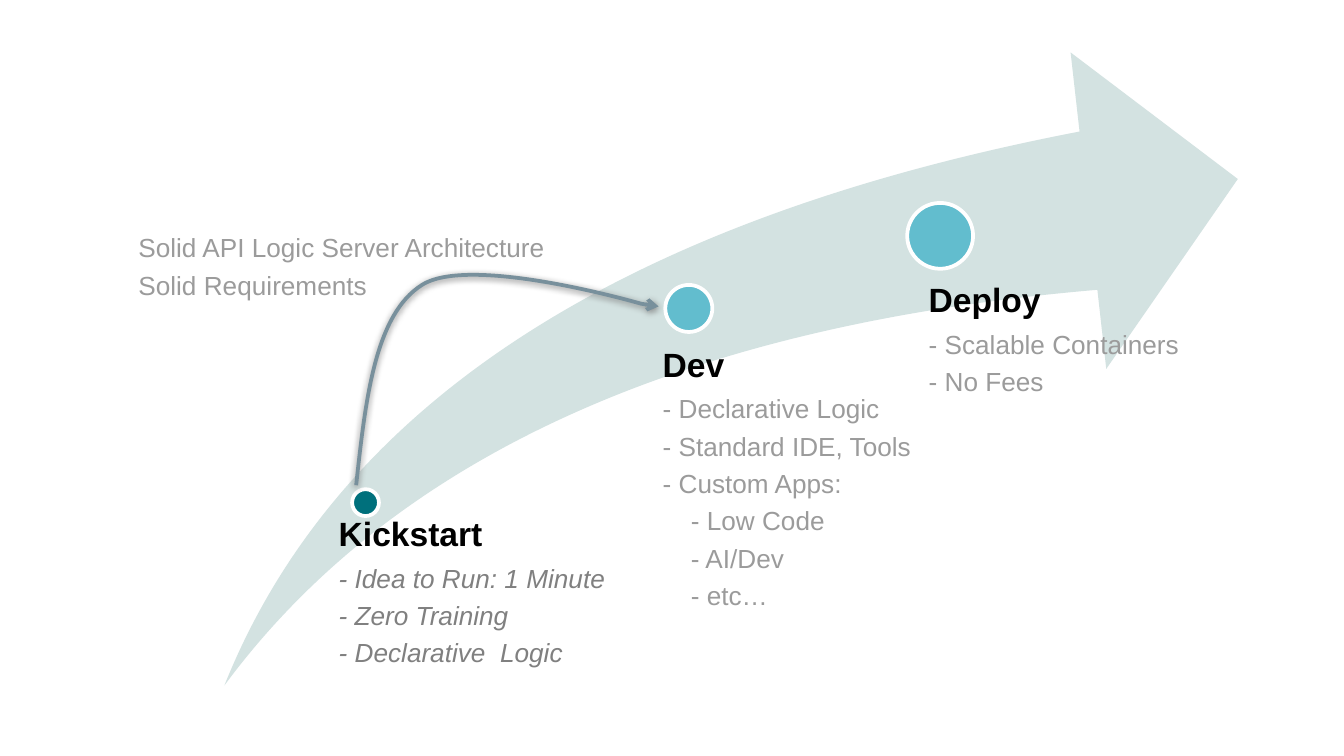
import dataclasses

import pptx
import pptx.dml.color
import pptx.enum.shapes
import pptx.enum.text
import pptx.oxml
import pptx.oxml.ns
import pptx.util

Inches = pptx.util.Inches
Pt = pptx.util.Pt
MSO_SHAPE = pptx.enum.shapes.MSO_SHAPE


@dataclasses.dataclass(frozen=True)
class Theme:
    font: str = "Arial"
    heading_size: int = 18
    item_size: int = 14
    heading: str = "000000"
    item: str = "9B9B9B"
    emphasis: str = "808080"
    swoosh: str = "D3E2E1"
    start_dot: str = "00707C"
    dot: str = "62BDCE"
    ring: str = "FFFFFF"
    jump: str = "78909C"
    shadow: str = "808080"
    line_width: int = 2


THEME = Theme()


def rgb(value):
    return pptx.dml.color.RGBColor.from_string(value)


def make_element(tag, content=""):
    namespace = pptx.oxml.ns.nsdecls("a")
    return pptx.oxml.parse_xml(f"<a:{tag} {namespace}>{content}</a:{tag}>")


def place_text(box, left, top, width, height, inset):
    """Move a list placeholder to the front and into position, and empty its margins."""
    box.element.getparent().append(box.element)
    box.left, box.top = Inches(left), Inches(top)
    box.width, box.height = Inches(width), Inches(height)
    frame = box.text_frame
    frame.word_wrap = True
    frame.auto_size = pptx.enum.text.MSO_AUTO_SIZE.NONE
    frame.vertical_anchor = pptx.enum.text.MSO_ANCHOR.TOP
    frame.margin_left = Inches(inset)
    frame.margin_top = frame.margin_right = frame.margin_bottom = 0


def add_line(box, text, size=THEME.item_size, color=THEME.item,
             bold=False, italic=False, indent=0):
    frame = box.text_frame
    para = frame.add_paragraph() if frame.text else frame.paragraphs[0]
    para.alignment = pptx.enum.text.PP_ALIGN.LEFT
    para.line_spacing = 0.9
    para.space_before = Pt(0)
    para.space_after = Pt(size * 0.35)
    properties = para._p.get_or_add_pPr()
    properties.set("marL", str(Inches(indent)))
    properties.set("indent", "0")
    properties.append(make_element("buNone"))
    span = para.add_run()
    span.text = text
    span.font.name = THEME.font
    span.font.size = Pt(size)
    span.font.bold = bold
    span.font.italic = italic
    span.font.color.rgb = rgb(color)


def add_filled(page, kind, left, top, width, height, color):
    shape = page.shapes.add_shape(
        kind, Inches(left), Inches(top), Inches(width), Inches(height))
    shape.shadow.inherit = False
    shape.fill.solid()
    shape.fill.fore_color.rgb = rgb(color)
    shape.line.fill.background()
    return shape


def add_swoosh(page, left, top, width, height):
    swoosh = add_filled(page, MSO_SHAPE.SWOOSH_ARROW, left, top, width, height, THEME.swoosh)
    swoosh.adjustments[0] = 0.25
    swoosh.adjustments[1] = 0.25


def add_stage(page, box, left, top, width, height, inset, dot, heading, items,
              dot_color=THEME.dot, subitems=(), **item_format):
    """Place a stage's list, with a round marker at dot (x, y, size) from its corner."""
    x, y, size = dot
    marker = add_filled(page, MSO_SHAPE.OVAL, left + x, top + y, size, size, dot_color)
    marker.line.color.rgb = rgb(THEME.ring)
    marker.line.width = Pt(THEME.line_width)
    place_text(box, left, top, width, height, inset)
    add_line(box, heading, size=THEME.heading_size, color=THEME.heading, bold=True)
    for item in items:
        add_line(box, item, **item_format)
    for item in subitems:
        add_line(box, item, indent=0.21, **item_format)


def add_jump(page, left, top):
    """Draw the curved arrow from Kickstart to Dev; top is its control points' top."""
    start = (0, 1.72)
    curve_points = [(0.07, 1.08), (0.14, 0.45), (0.49, 0.23),
                    (0.85, 0), (2.12, 0.37), (2.12, 0.37)]
    end = (2.25, 0.39)
    builder = page.shapes.build_freeform(
        Inches(left + start[0]), Inches(top + start[1]))
    builder.add_line_segments(
        [(Inches(left + x), Inches(top + y)) for x, y in curve_points + [end]],
        close=False)
    jump = builder.convert_to_shape()

    # Each three control points become one cubic curve; the last segment stays straight.
    lines = jump.element.findall(".//" + pptx.oxml.ns.qn("a:lnTo"))
    for first in range(0, len(curve_points), 3):
        curve = make_element("cubicBezTo")
        lines[first].addprevious(curve)
        for line in lines[first:first + 3]:
            curve.append(line[0])
            line.getparent().remove(line)

    jump.fill.background()
    jump.line.color.rgb = rgb(THEME.jump)
    jump.line.width = Pt(THEME.line_width)
    arrowhead = make_element("tailEnd")
    arrowhead.set("type", "arrow")
    jump.line._get_or_add_ln().append(arrowhead)
    jump.shadow.inherit = False
    effects = jump.element.spPr.find(pptx.oxml.ns.qn("a:effectLst"))
    shadow = make_element("outerShdw", f'<a:srgbClr val="{THEME.shadow}"/>')
    for name, value in (("blurRad", Pt(4)), ("dist", Pt(1)),
                        ("dir", 90 * 60000), ("rotWithShape", 0)):
        shadow.set(name, str(value))
    effects.append(shadow)


def add_foundations(box, left, top, width, height):
    place_text(box, left, top, width, height, inset=0.28)
    for text in ("Solid API Logic Server Architecture", "Solid Requirements"):
        add_line(box, text)


def main():
    deck = pptx.Presentation()
    deck.slide_width = Inches(10)
    deck.slide_height = deck.slide_width * 9 // 16
    # The comparison layout offers four lists.
    page = deck.slides.add_slide(deck.slide_layouts[4])
    title, kickstart, dev, deploy, foundations = page.placeholders
    title.element.getparent().remove(title.element)

    add_swoosh(page, 1.67, 0.39, 7.54, 4.71)
    add_stage(page, kickstart, 2.42, 3.85, 2.59, 1.36, 0.1, (0.2, -0.21, 0.2),
              "Kickstart",
              ["- Idea to Run: 1 Minute", "- Zero Training", "- Declarative  Logic"],
              dot_color=THEME.start_dot, color=THEME.emphasis, italic=True)
    add_stage(page, dev, 4.74, 2.59, 2.07, 2.3, 0.19, (0.21, -0.47, 0.35),
              "Dev",
              ["- Declarative Logic", "- Standard IDE, Tools", "- Custom Apps:"],
              subitems=["- Low Code", "- AI/Dev", "- etc…"])
    add_stage(page, deploy, 6.65, 2.11, 2.17, 2.54, 0.26, (0.1, -0.6, 0.49),
              "Deploy", ["- Scalable Containers", "- No Fees"])
    add_jump(page, 2.65, 1.89)
    add_foundations(foundations, 0.75, 1.75, 3.39, 0.8)
    deck.save("out.pptx")


if __name__ == "__main__":
    main()
